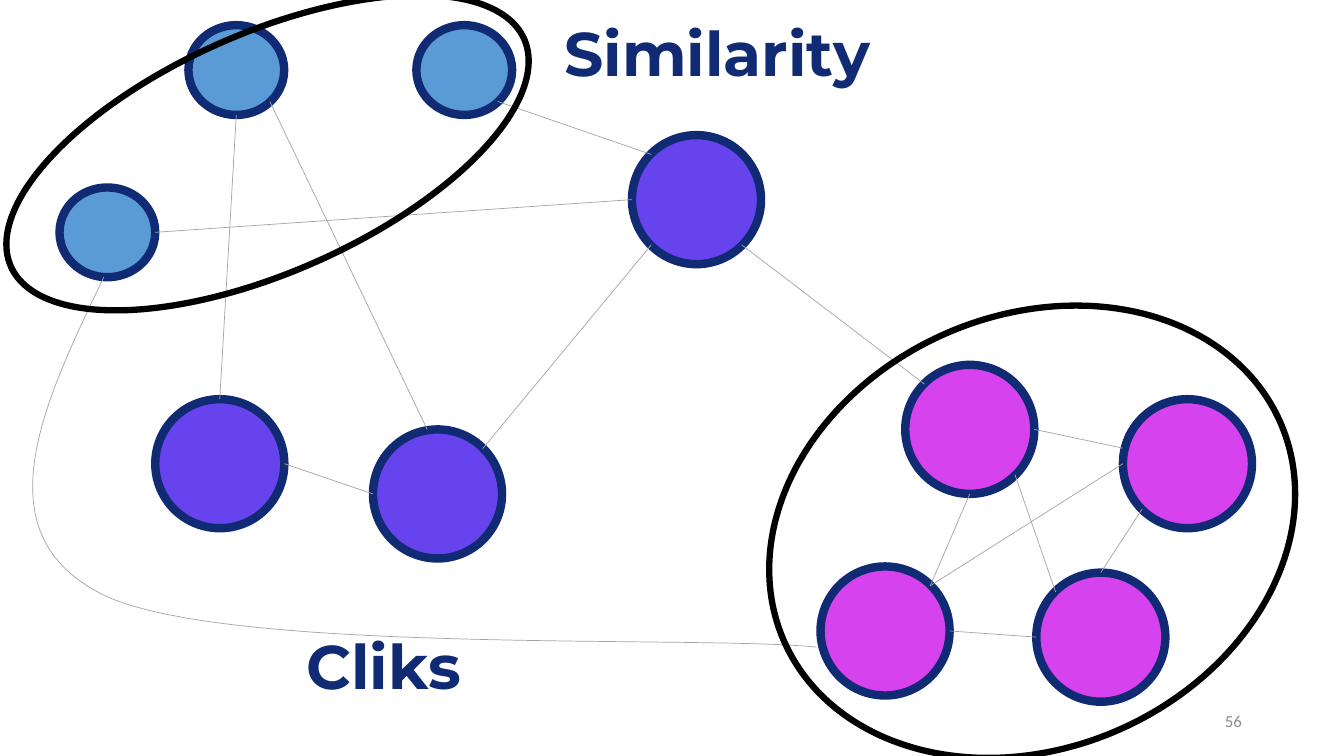
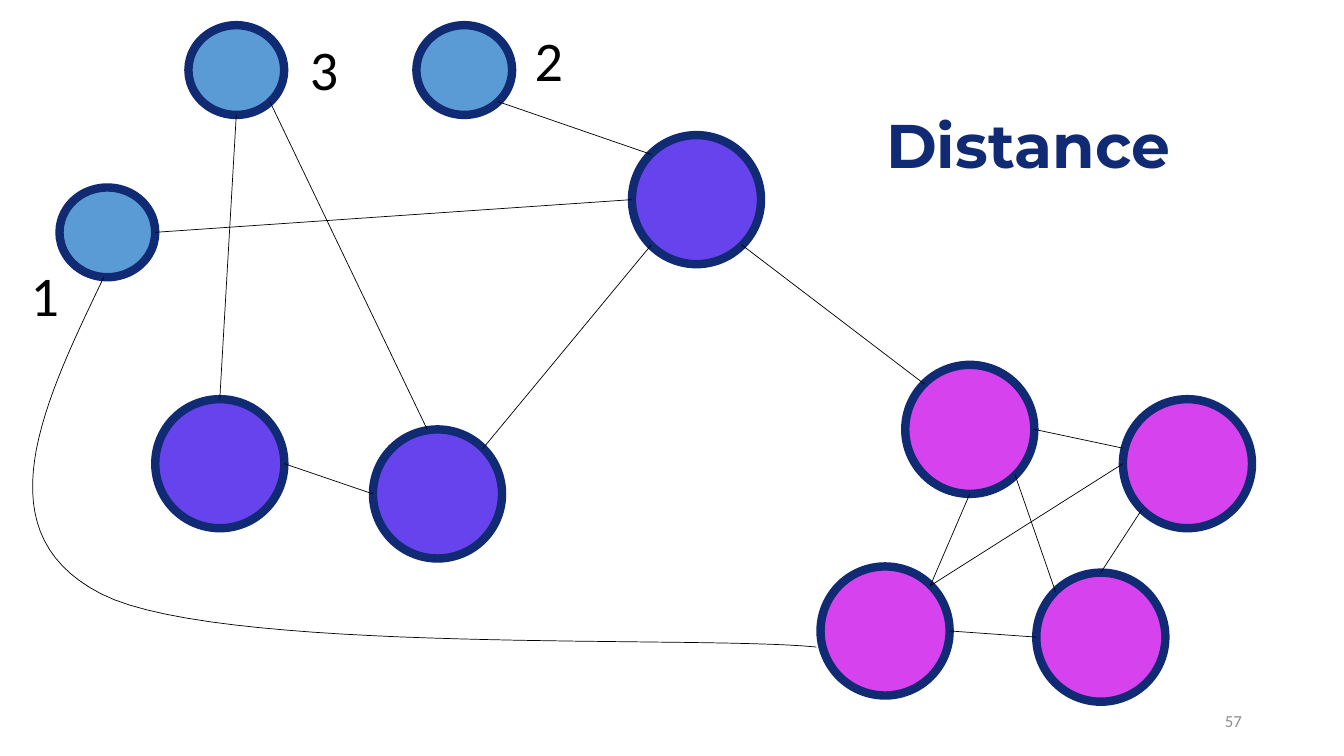
from lxml import etree
from pptx import Presentation
from pptx.dml.color import RGBColor
from pptx.enum.shapes import MSO_CONNECTOR, MSO_SHAPE
from pptx.enum.text import MSO_ANCHOR, MSO_AUTO_SIZE, PP_ALIGN
from pptx.oxml.ns import qn
from pptx.util import Pt

ELLIPSE = MSO_SHAPE.OVAL
STRAIGHT = MSO_CONNECTOR.STRAIGHT
LEFT_ALIGN, CENTER, RIGHT_ALIGN = PP_ALIGN.LEFT, PP_ALIGN.CENTER, PP_ALIGN.RIGHT
ANCHOR_TOP, ANCHOR_MIDDLE = MSO_ANCHOR.TOP, MSO_ANCHOR.MIDDLE
NO_FIT, GROW = MSO_AUTO_SIZE.NONE, MSO_AUTO_SIZE.SHAPE_TO_FIT_TEXT

NAVY, MAGENTA, BLUE, VIOLET = "102A73", "D542EE", "5B9BD5", "6743ED"
BLACK, GRAY, PAGE_GRAY = "000000", "A5A5A5", "8C8C8C"

TOP, LEFT, BOTTOM, RIGHT = (0.5, 0), (0, 0.5), (0.5, 1), (1, 0.5)
NW, NE, SW, SE = (0.15, 0.15), (0.85, 0.15), (0.15, 0.85), (0.85, 0.85)

LARGE, SMALL = (92.2, 92.2), (68.4, 64.1)
GROUPS = [
    (MAGENTA, LARGE, {"clique_left": (586.1, 404.6), "clique_top": (646.6, 260.6),
                      "clique_right": (802.1, 285.1), "clique_low": (740.2, 409)}),
    (BLUE, SMALL, {"one": (42.5, 133.9), "two": (297.4, 18), "three": (134.6, 18)}),
    (VIOLET, LARGE, {"west": (110.9, 285.1), "middle": (266.4, 306.7),
                     "hub": (451.4, 96.5)}),
]
EDGES = [
    ("three", BOTTOM, "west", TOP),
    ("three", SE, "middle", (0.42, 0)),
    ("middle", LEFT, "west", RIGHT),
    ("hub", SE, "clique_top", NW),
    ("middle", NE, "hub", SW),
    ("one", RIGHT, "hub", LEFT),
    ("two", SE, "hub", NW),
    ("clique_top", BOTTOM, "clique_left", NE),
    ("clique_top", RIGHT, "clique_right", (0, 0.38)),
    ("clique_low", TOP, "clique_right", SW),
    ("clique_low", LEFT, "clique_left", RIGHT),
    ("clique_left", NE, "clique_right", LEFT),
    ("clique_top", SE, "clique_low", NW),
]
LONG_LINK = [
    [(74.2, 198), (30.2, 289.4), (-13, 380.2), (72, 424.1)],
    [(72, 424.1), (157, 468), (497.5, 453.6), (583.2, 462.2)],
]


def color(value):
    return RGBColor.from_string(value)


def write(frame, text, size, font, ink, bold=False, align=LEFT_ALIGN,
          anchor=ANCHOR_TOP, spacing=1.0, wrap=True, fit=NO_FIT):
    frame.word_wrap = wrap
    frame.auto_size = fit
    frame.vertical_anchor = anchor
    paragraph = frame.paragraphs[0]
    paragraph.alignment = align
    paragraph.line_spacing = spacing
    run = paragraph.add_run()
    run.text = text
    run.font.size = Pt(size)
    run.font.name = font
    run.font.bold = bold
    run.font.color.rgb = color(ink)


def bezier(curve, steps=30):
    a, b, c, d = curve
    for step in range(steps + 1):
        t = step / steps
        u = 1 - t
        yield tuple(Pt(u**3 * p + 3 * u * u * t * q + 3 * u * t * t * r + t**3 * s)
                    for p, q, r, s in zip(a, b, c, d))


class Deck:
    heading_style = dict(size=44, font="Montserrat", ink=NAVY, bold=True, spacing=0.9)
    heading_size = (319.7, 61.9)

    def __init__(self):
        self.file = Presentation()
        self.file.slide_width, self.file.slide_height = Pt(960), Pt(540)
        self.layout = next(layout for layout in self.file.slide_layouts
                           if layout.name == "Title Only")

    def start(self, heading, left, top, number):
        self.slide = self.file.slides.add_slide(self.layout)
        self.shapes = self.slide.shapes
        title = self.shapes.title
        title.left, title.top = Pt(left), Pt(top)
        title.width, title.height = map(Pt, self.heading_size)
        write(title.text_frame, heading, **self.heading_style)
        self.label(number, 678.2, 500.4, (216, 28.8), size=12, font="Calibri",
                   ink=PAGE_GRAY, align=RIGHT_ALIGN, anchor=ANCHOR_MIDDLE)

    def label(self, text, left, top, size_box, **style):
        box = self.shapes.add_textbox(Pt(left), Pt(top), *map(Pt, size_box))
        write(box.text_frame, text, **style)

    def heading(self, text, left, top):
        self.label(text, left, top, self.heading_size, **self.heading_style)

    def rank(self, text, left, top):
        self.label(text, left, top, (35.3, 55.4), size=40, font="Calibri",
                   ink=BLACK, align=CENTER, wrap=False, fit=GROW)

    def outline(self, shape, ink, weight, fill=None):
        shape.shadow.inherit = False
        if fill:
            shape.fill.solid()
            shape.fill.fore_color.rgb = color(fill)
        else:
            shape.fill.background()
        shape.line.color.rgb = color(ink)
        shape.line.width = Pt(weight)

    def ellipse(self, left, top, width, height, ink, weight, fill=None, rotation=0):
        oval = self.shapes.add_shape(ELLIPSE, Pt(left), Pt(top), Pt(width), Pt(height))
        self.outline(oval, ink, weight, fill)
        oval.rotation = rotation
        return oval

    def ring(self, left, top, width, height):
        self.ellipse(left, top, width, height, BLACK, 4.5, rotation=336.1)

    def edge(self, start, start_site, end, end_site, ink):
        ends = [round(value) for node, (across, down) in ((start, start_site), (end, end_site))
                for value in (node.left + across * node.width,
                              node.top + down * node.height)]
        link = self.shapes.add_connector(STRAIGHT, *ends)
        link.line.color.rgb = color(ink)
        link.line.width = Pt(0.5)
        etree.SubElement(link._element.spPr, qn("a:effectLst"))
        if start_site == TOP:
            link.begin_connect(start, 0)
        if end_site == TOP:
            link.end_connect(end, 0)

    def curve(self, segments, ink):
        points = [point for segment in segments for point in bezier(segment)]
        builder = self.shapes.build_freeform(*points[0])
        builder.add_line_segments(points[1:], close=False)
        self.outline(builder.convert_to_shape(), ink, 0.5)

    def network(self, ink):
        nodes = {name: self.ellipse(*place, *size, NAVY, 6, fill)
                 for fill, size, members in GROUPS
                 for name, place in members.items()}
        for start, start_site, end, end_site in EDGES:
            self.edge(nodes[start], start_site, nodes[end], end_site, ink)
        self.curve(LONG_LINK, ink)


def main():
    deck = Deck()

    deck.start("Similarity", 396, 13, "56")
    deck.network(GRAY)
    deck.ring(-9.4, 23.8, 401, 170.6)
    deck.heading("Cliks", 211.7, 450.7)
    deck.ring(543.6, 225.4, 387.4, 308.9)

    deck.start("Distance", 625.7, 78.5, "57")
    deck.network(BLACK)
    for text, left, top in (("1", 14.4, 182.2), ("2", 374.4, 14.4), ("3", 213.8, 20.9)):
        deck.rank(text, left, top)

    deck.file.save("out.pptx")


if __name__ == "__main__":
    main()
